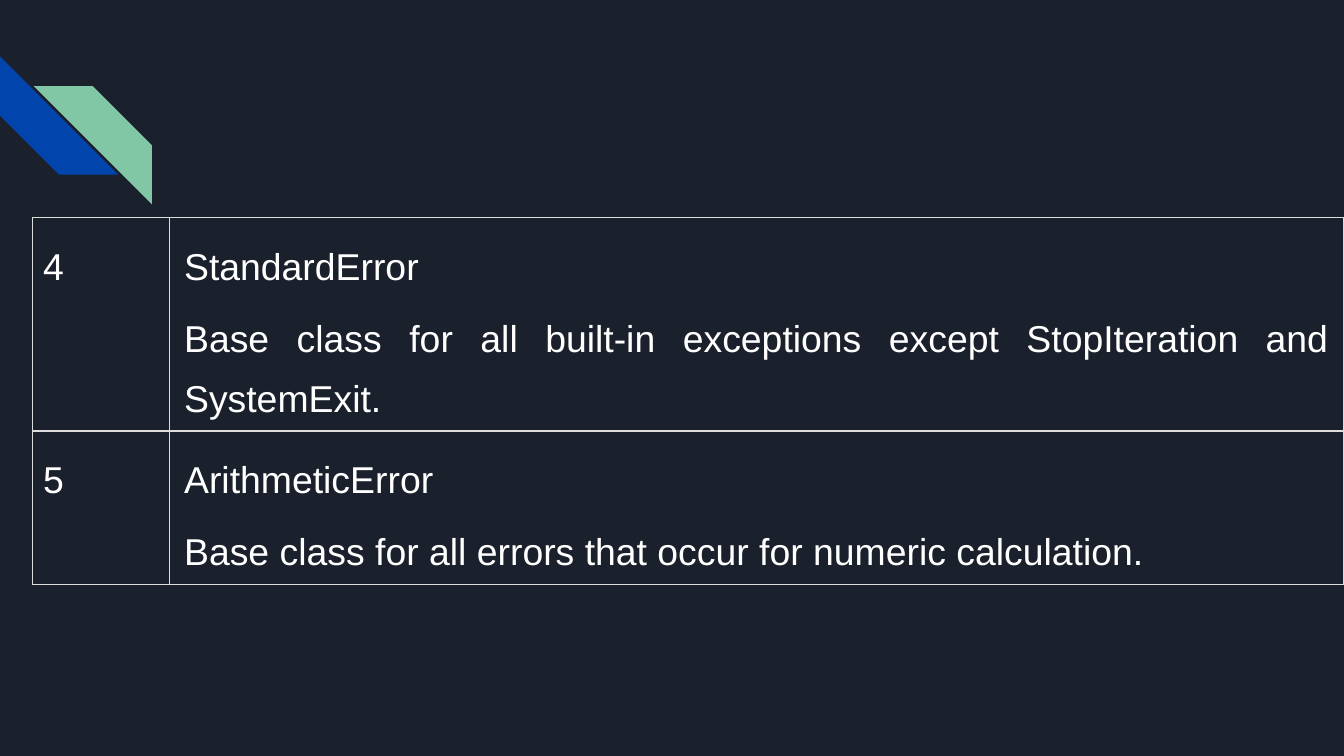
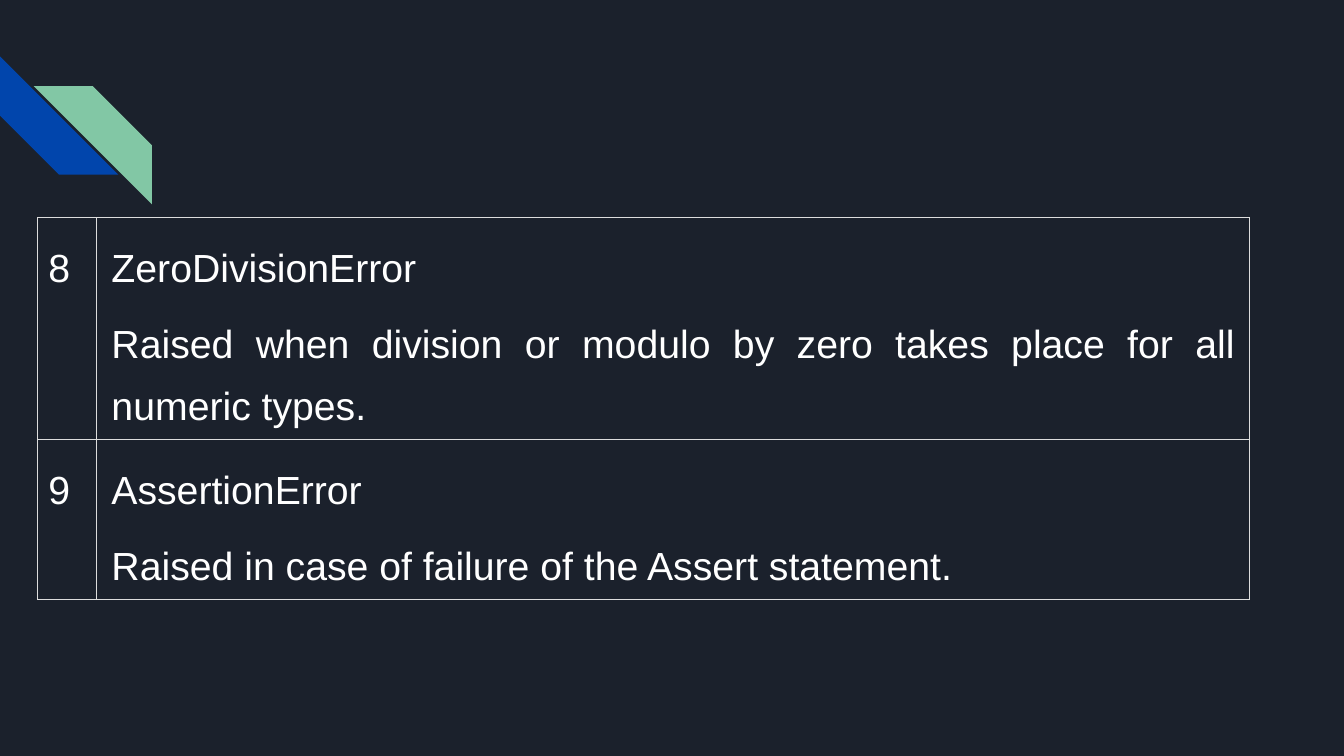
from lxml import etree
from pptx import Presentation
from pptx.dml.color import RGBColor
from pptx.enum.shapes import MSO_SHAPE
from pptx.enum.text import PP_ALIGN
from pptx.oxml.ns import qn
from pptx.util import Inches, Pt

STRIPE = MSO_SHAPE.DIAGONAL_STRIPE
JUSTIFY = PP_ALIGN.JUSTIFY
BLANK_LAYOUT = 6

FONT = "Arial"
NIGHT, BLUE, GREEN = "1B212C", "0145AC", "82C7A5"
WHITE, RULE = "FFFFFF", "DDDDDD"

PAGE_WIDTH = Inches(10)
PAGE_HEIGHT = PAGE_WIDTH * 9 // 16
TABLE_TOP, ROW_HEIGHT = 1.62, 0.92
CELL_INSET, TEXT_INDENT = 0.08, 0.03
LINE_SPACING = 1.43
STRIPE_SIZE = 0.88

# Each page: table left, column widths, text size, rows of (number, name, meaning)
PAGES = [
    (0.24, (1.02, 8.74), 20, [
        ("4", "StandardError",
         "Base class for all built-in exceptions except StopIteration and SystemExit."),
        ("5", "ArithmeticError",
         "Base class for all errors that occur for numeric calculation."),
    ]),
    (0.28, (0.44, 8.58), 21, [
        ("8", "ZeroDivisionError",
         "Raised when division or modulo by zero takes place for all numeric types."),
        ("9", "AssertionError",
         "Raised in case of failure of the Assert statement."),
    ]),
]


def color(value):
    return RGBColor.from_string(value)


def add_stripe(page, left, top, rotation, fill):
    size = Inches(STRIPE_SIZE)
    stripe = page.shapes.add_shape(STRIPE, Inches(left), Inches(top), size, size)
    stripe.rotation = rotation
    stripe.shadow.inherit = False
    stripe.fill.solid()
    stripe.fill.fore_color.rgb = color(fill)
    stripe.line.fill.background()


def add_corner_mark(page, left, top):
    add_stripe(page, left, top, 270, BLUE)
    add_stripe(page, left + 0.25, top + 0.22, 90, GREEN)


def style_cell(cell):
    """Give the cell thin rules on all sides, even insets and no fill."""
    properties = cell._tc.get_or_add_tcPr()
    for side in ("lnL", "lnR", "lnT", "lnB"):
        line = etree.SubElement(properties, qn(f"a:{side}"), w=str(Pt(0.75)))
        fill = etree.SubElement(line, qn("a:solidFill"))
        etree.SubElement(fill, qn("a:srgbClr"), val=RULE)
    cell.fill.background()
    cell.margin_left = cell.margin_right = Inches(CELL_INSET)
    cell.margin_top = cell.margin_bottom = Inches(CELL_INSET)


def write(para, text, size, before=0, after=0):
    para.line_spacing = LINE_SPACING
    para.space_before, para.space_after = Pt(before), Pt(after)
    span = para.add_run()
    span.text = text
    span.font.name = FONT
    span.font.size = Pt(size)
    span.font.color.rgb = color(WHITE)


def write_justified(para, text, size, before, after=0):
    write(para, text, size, before, after)
    para.alignment = JUSTIFY
    properties = para._p.get_or_add_pPr()
    for side in ("marL", "marR"):
        properties.set(side, str(Inches(TEXT_INDENT)))
    properties.set("indent", "0")


def add_exception_table(page, left, top, widths, size, entries):
    frame = page.shapes.add_table(
        len(entries), len(widths), Inches(left), Inches(top),
        Inches(sum(widths)), Inches(ROW_HEIGHT * len(entries)))
    table = frame.table
    table.first_row = table.horz_banding = False
    for column, width in zip(table.columns, widths):
        column.width = Inches(width)
    for row, (number, name, meaning) in zip(table.rows, entries):
        row.height = Inches(ROW_HEIGHT)
        number_cell, text_cell = row.cells
        style_cell(number_cell)
        style_cell(text_cell)
        write(number_cell.text_frame.paragraphs[0], number, size, after=15)
        body = text_cell.text_frame
        write_justified(body.paragraphs[0], name, size, before=6)
        write_justified(body.add_paragraph(), meaning, size, before=7, after=7)


def main():
    deck = Presentation()
    deck.slide_width, deck.slide_height = PAGE_WIDTH, PAGE_HEIGHT
    backdrop = deck.slide_master.background.fill
    backdrop.solid()
    backdrop.fore_color.rgb = color(NIGHT)
    for left, widths, size, entries in PAGES:
        page = deck.slides.add_slide(deck.slide_layouts[BLANK_LAYOUT])
        add_corner_mark(page, 0, 0.42)
        add_exception_table(page, left, TABLE_TOP, widths, size, entries)
    deck.save("out.pptx")


if __name__ == "__main__":
    main()
